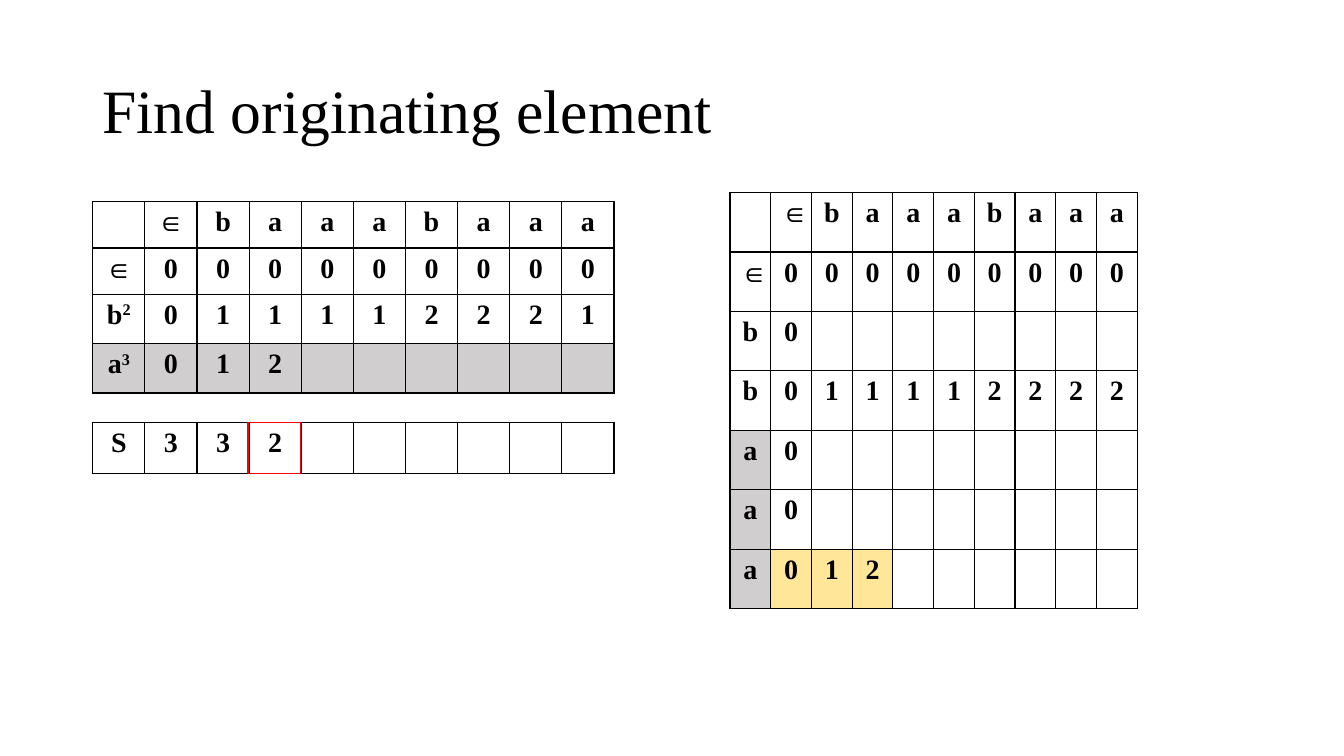
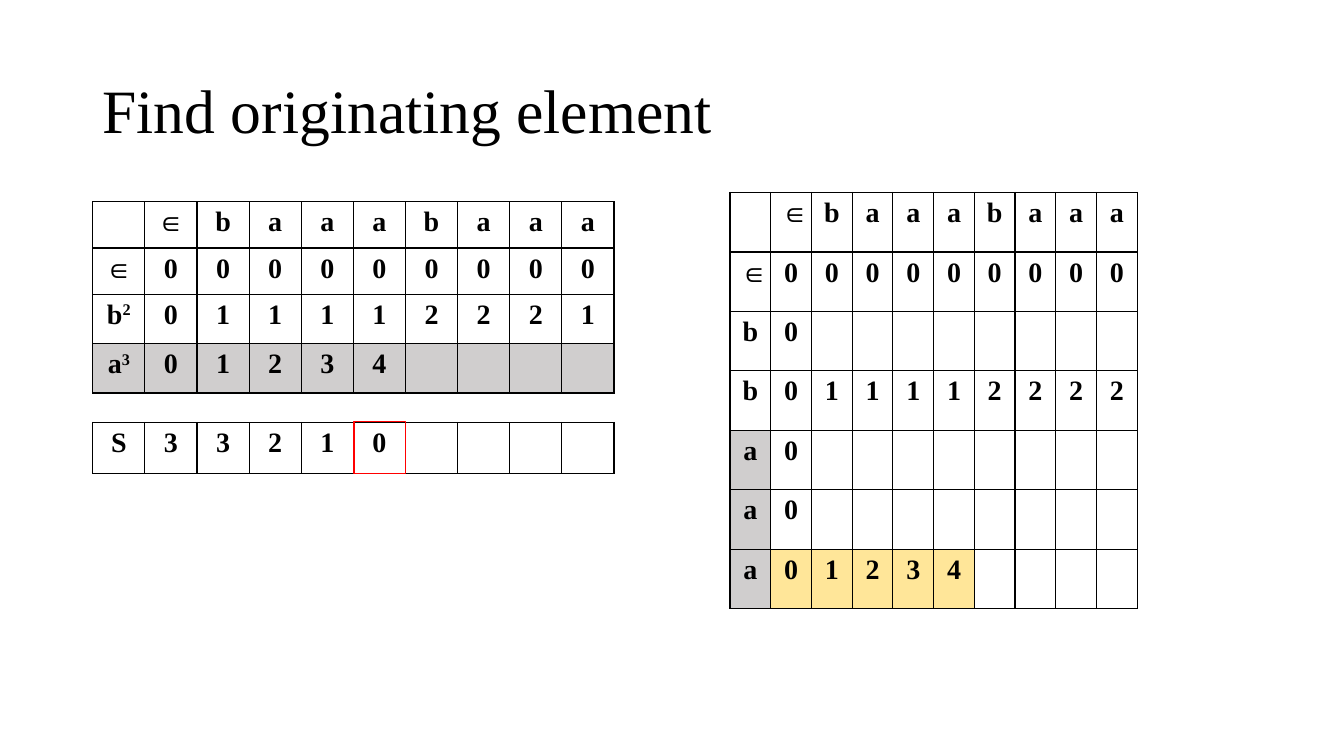
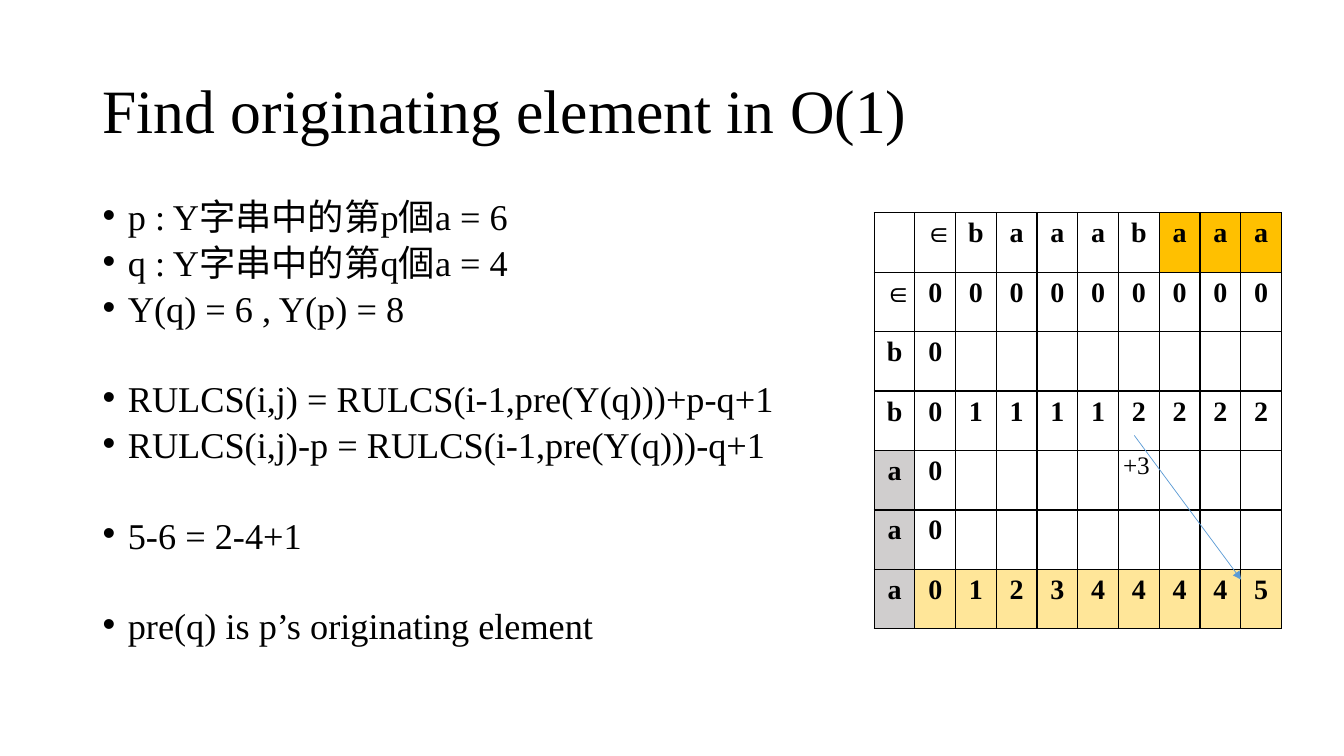
from dataclasses import dataclass

from lxml import etree
from pptx import Presentation
from pptx.dml.color import RGBColor
from pptx.enum.shapes import MSO_CONNECTOR, MSO_SHAPE
from pptx.enum.text import MSO_ANCHOR, PP_ALIGN
from pptx.oxml.ns import qn
from pptx.util import Inches, Pt

RECTANGLE = MSO_SHAPE.RECTANGLE
STRAIGHT = MSO_CONNECTOR.STRAIGHT
CENTER = PP_ALIGN.CENTER
TOP, MIDDLE = MSO_ANCHOR.TOP, MSO_ANCHOR.MIDDLE


@dataclass(frozen=True)
class Theme:
    font: str = "Times New Roman"
    ink: str = "000000"
    block: str = "D0CECE"
    known: str = "FFE699"
    matched: str = "FFC000"
    focus: str = "FF0000"
    arrow: str = "5B9BD5"
    title_size: float = 44
    body_size: float = 25.9
    cell_size: float = 20
    note_size: float = 18


THEME = Theme()


def write(paragraph, text, size, color=THEME.ink, bold=False, align=None,
          line_spacing=None, before=None, superscript=""):
    """Fill one paragraph, with an optional raised suffix."""
    if align is not None:
        paragraph.alignment = align
    if line_spacing is not None:
        paragraph.line_spacing = line_spacing
    if before is not None:
        paragraph.space_before = Pt(before)
    for part in filter(None, (text, superscript)):
        run = paragraph.add_run()
        run.text = part
        run.font.name = THEME.font
        run.font.size = Pt(size)
        run.font.bold = bold
        run.font.color.rgb = RGBColor.from_string(color)
    if superscript:
        run._r.get_or_add_rPr().set("baseline", "30000")


def add_bullet(paragraph, indent=0.25):
    properties = paragraph._p.get_or_add_pPr()
    properties.set("marL", str(Inches(indent)))
    properties.set("indent", str(-Inches(indent)))
    etree.SubElement(properties, qn("a:buFont")).set("typeface", "Arial")
    etree.SubElement(properties, qn("a:buChar")).set("char", "•")


def add_borders(cell, color=THEME.ink, width=1):
    properties = cell._tc.get_or_add_tcPr()
    for position, side in enumerate(("a:lnL", "a:lnR", "a:lnT", "a:lnB")):
        border = etree.Element(qn(side), w=str(Pt(width)))
        fill = etree.SubElement(border, qn("a:solidFill"))
        etree.SubElement(fill, qn("a:srgbClr")).set("val", color)
        properties.insert(position, border)


class Deck:
    def __init__(self):
        self.presentation = Presentation()
        self.presentation.slide_width = Inches(13.33)
        self.presentation.slide_height = Inches(7.5)
        self.slide = None

    def new_slide(self, title):
        layout = self.presentation.slide_layouts[6]
        self.slide = self.presentation.slides.add_slide(layout)
        frame = self.text_frame(0.92, 0.4, 11.5, 1.45, anchor=MIDDLE)
        write(frame.paragraphs[0], title, THEME.title_size, line_spacing=0.9)

    def text_frame(self, left, top, width, height, anchor=TOP, wrap=True):
        box = self.slide.shapes.add_textbox(
            Inches(left), Inches(top), Inches(width), Inches(height))
        box.text_frame.word_wrap = wrap
        box.text_frame.vertical_anchor = anchor
        return box.text_frame

    def note(self, text, left, top, width, height):
        frame = self.text_frame(left, top, width, height, wrap=False)
        write(frame.paragraphs[0], text, THEME.note_size)

    def bullets(self, groups, left, top, width, height, gap=11, group_gap=42.7):
        frame = self.text_frame(left, top, width, height)
        for group_index, group in enumerate(groups):
            for line_index, line in enumerate(group):
                first = group_index == line_index == 0
                paragraph = frame.paragraphs[0] if first else frame.add_paragraph()
                before = 0 if first else gap if line_index else group_gap
                paragraph.line_spacing = 0.7
                paragraph.space_before = Pt(before)
                add_bullet(paragraph)
                write(paragraph, line, THEME.body_size)

    def grid(self, rows, left, top, width, heights, fills=None, powers=None):
        """Draw a table with one character per cell."""
        fills, powers = fills or {}, powers or {}
        count = 10
        table = self.slide.shapes.add_table(
            len(rows), count, Inches(left), Inches(top),
            Inches(width), Inches(sum(heights))).table
        table.first_row = table.horz_banding = False
        for column in table.columns:
            column.width = Inches(width / count)
        for row_index, (row, height) in enumerate(zip(rows, heights)):
            table.rows[row_index].height = Inches(height)
            for column_index, symbol in enumerate(row.ljust(count)):
                place = row_index, column_index
                cell = table.cell(*place)
                if place in fills:
                    cell.fill.solid()
                    cell.fill.fore_color.rgb = RGBColor.from_string(fills[place])
                else:
                    cell.fill.background()
                add_borders(cell)
                write(cell.text_frame.paragraphs[0], symbol.strip(),
                      THEME.cell_size, bold=True, align=CENTER,
                      superscript=powers.get(place, ""))

    def outline(self, left, top, width, height):
        frame = self.slide.shapes.add_shape(
            RECTANGLE, Inches(left), Inches(top), Inches(width), Inches(height))
        frame.shadow.inherit = False
        frame.fill.background()
        frame.line.color.rgb = RGBColor.from_string(THEME.focus)
        frame.line.width = Pt(1)

    def arrow(self, x1, y1, x2, y2):
        line = self.slide.shapes.add_connector(
            STRAIGHT, Inches(x1), Inches(y1), Inches(x2), Inches(y2))
        line.line.color.rgb = RGBColor.from_string(THEME.arrow)
        line.line.width = Pt(0.5)
        etree.SubElement(line.line._get_or_add_ln(), qn("a:tailEnd")).set(
            "type", "triangle")
        etree.SubElement(line._element.spPr, qn("a:effectLst"))


# Rows shared by the compressed and the full tables
HEADER = [" ∈baaabaaa", "∈000000000"]


def add_compressed_tables(deck, values, steps):
    left, width = 0.92, 5.17
    deck.grid(HEADER + ["b011112221", "a" + values], left, 2, width,
              [0.46, 0.46, 0.49, 0.49],
              fills={(3, column): THEME.block for column in range(10)},
              powers={(2, 0): "2", (3, 0): "3"})
    deck.grid(["S" + steps], left, 4.19, width, [0.51])


def add_full_table(deck, values, left, top, matched=()):
    fills = {(row, 0): THEME.block for row in (4, 5, 6)}
    fills |= {(6, column): THEME.known for column in range(1, len(values) + 1)}
    fills |= {(0, column): THEME.matched for column in matched}
    deck.grid(HEADER + ["b0", "b011112222", "a0", "a0", "a" + values],
              left, top, 4.04, [0.59] * 7, fills)


def main():
    deck = Deck()

    # Search steps: last row so far, S row, highlighted cell
    steps = [("012", "332", (2.46, 4.19, 0.52, 0.51)),
             ("01234", "33210", (3.51, 4.18, 0.51, 0.52))]
    for values, remaining, focus in steps:
        deck.new_slide("Find originating element")
        add_compressed_tables(deck, values, remaining)
        add_full_table(deck, values, 7.24, 1.91)
        deck.outline(*focus)

    # Constant-time rule
    deck.new_slide("Find originating element in O(1)")
    deck.bullets([
        ["p : Y字串中的第p個a = 6", "q : Y字串中的第q個a = 4", "Y(q) = 6 , Y(p) = 8"],
        ["RULCS(i,j) = RULCS(i-1,pre(Y(q)))+p-q+1",
         "RULCS(i,j)-p = RULCS(i-1,pre(Y(q)))-q+1"],
        ["5-6 = 2-4+1"],
        ["pre(q) is p’s originating element"],
    ], 0.92, 2, 11.5, 4.76)
    add_full_table(deck, "012344445", 8.67, 2.11, matched=(7, 8, 9))
    deck.arrow(11.25, 4.32, 12.31, 5.75)
    deck.note("+3", 11.04, 4.41, 0.49, 0.4)

    deck.presentation.save("out.pptx")


if __name__ == "__main__":
    main()
